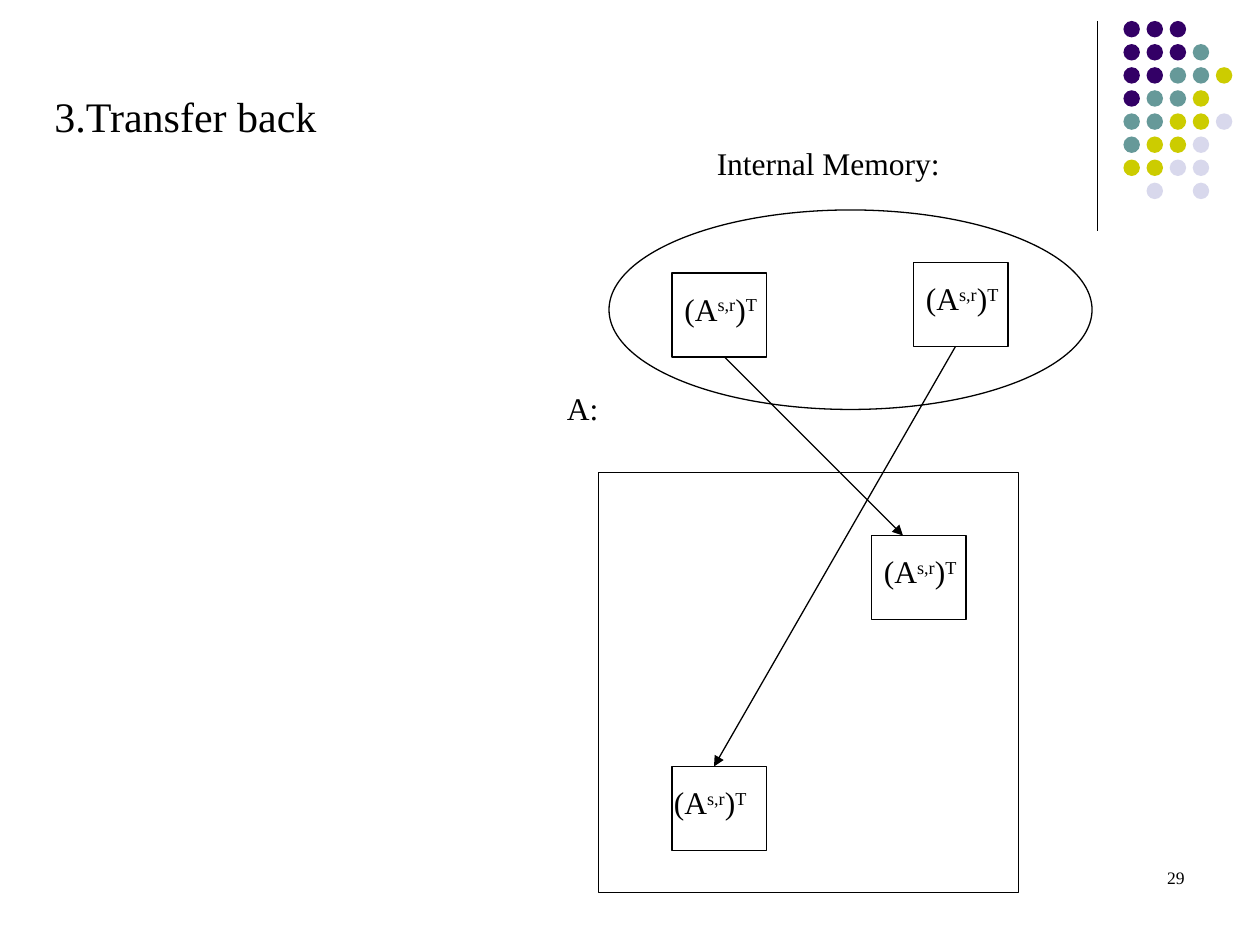
"""Build the slide on transferring transposed blocks back from internal memory."""
from pptx import Presentation
from pptx.dml.color import RGBColor
from pptx.enum import shapes as s, text as t
from pptx.oxml import xmlchemy as x
from pptx.util import Pt

BLACK = RGBColor(0, 0, 0)
DOTS = {
    "P": RGBColor(0x33, 0x00, 0x66),
    "T": RGBColor(0x66, 0x99, 0x99),
    "Y": RGBColor(0xCC, 0xCC, 0x00),
    "L": RGBColor(0xD8, 0xD8, 0xEC),
}
ROWS = ["PPP", "PPPT", "PPTTY", "PTTY", "TTYYL", "TYYL", "YYLL", " L L"]

deck = Presentation()
deck.slide_width, deck.slide_height = Pt(720), Pt(540)
slide = deck.slides.add_slide(deck.slide_layouts[6])
items = slide.shapes


def shape(kind, left, top, width, height, fill=None):
    """Add a filled shape without a line, or an outlined one without a fill."""
    item = items.add_shape(kind, Pt(left), Pt(top), Pt(width), Pt(height))
    item.shadow.inherit = False
    if fill is None:
        item.fill.background()
        item.line.color.rgb = BLACK
        item.line.width = Pt(0.74)
    else:
        item.fill.solid()
        item.fill.fore_color.rgb = fill
        item.line.fill.background()


def label(left, top, width, height, size, parts, wrap=True, align=t.PP_ALIGN.LEFT):
    """Add a text box whose every second part is raised."""
    box = items.add_textbox(Pt(left), Pt(top), Pt(width), Pt(height))
    box.text_frame.word_wrap = wrap
    para = box.text_frame.paragraphs[0]
    para.alignment = align
    para.font.size = Pt(size)
    para.font.name = "Times New Roman"
    para.font.color.rgb = BLACK
    for num, part in enumerate(parts):
        run = para.add_run()
        run.text = part
        if num % 2:
            run.font._element.set("baseline", "30000")


for row, line in enumerate(ROWS):
    for col, key in enumerate(line):
        if key in DOTS:
            shape(s.MSO_SHAPE.OVAL, 642 + 13.2 * col, 12 + 13.2 * row, 9.4, 9.4, DOTS[key])

shape(s.MSO_SHAPE.RECTANGLE, 342, 270, 240, 240)
shape(s.MSO_SHAPE.OVAL, 348, 120, 276, 114)

for left, top, shift in [(384, 156, 0), (522, 150, 0), (498, 306, 0), (384, 438, -6)]:
    shape(s.MSO_SHAPE.RECTANGLE, left, top, 54, 48)
    label(left + shift, top + 6, 66, 29, 18, ["(A", "s,r", ")", "T"])

for start, end, arrow in [
    ((627, 12), (627, 132), False),
    ((414, 204), (516, 306), True),
    ((546, 198), (408, 438), True),
]:
    link = items.add_connector(s.MSO_CONNECTOR.STRAIGHT, *map(Pt, start + end))
    link.line.color.rgb = BLACK
    link.line.width = Pt(0.74)
    if arrow:
        tail = x.OxmlElement("a:tailEnd")
        tail.set("type", "triangle")
        link.line._get_or_add_ln().append(tail)
    link._element.spPr.append(x.OxmlElement("a:effectLst"))

label(24, 48, 264, 36, 24, ["3.Transfer back"])
label(402.5, 78.5, 142, 29, 18, ["Internal Memory:"], wrap=False)
label(316.8, 219, 32.4, 29, 18, ["A:"], wrap=False)
label(516, 492, 168, 36, 10, ["29"], align=t.PP_ALIGN.RIGHT)

deck.save("out.pptx")
